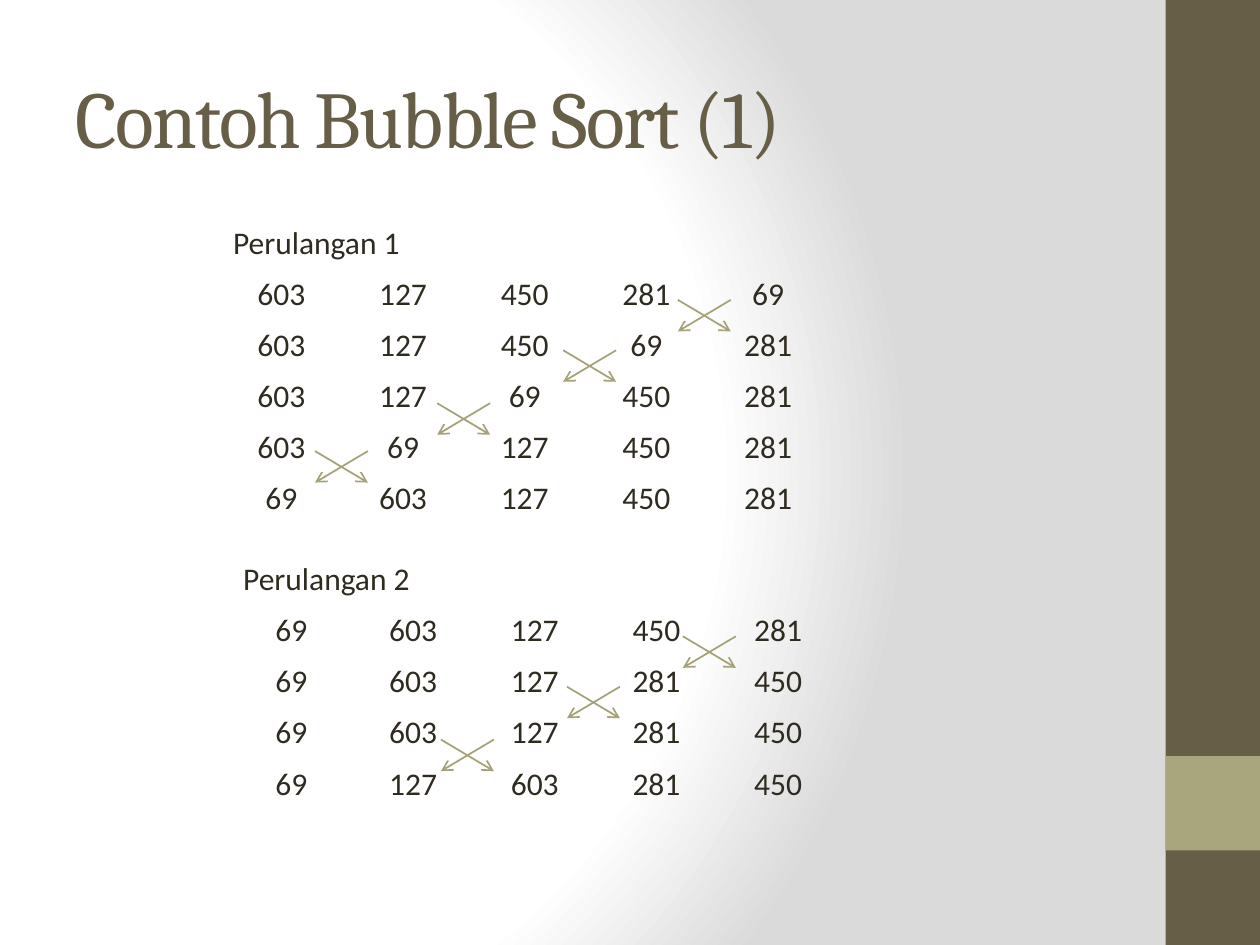
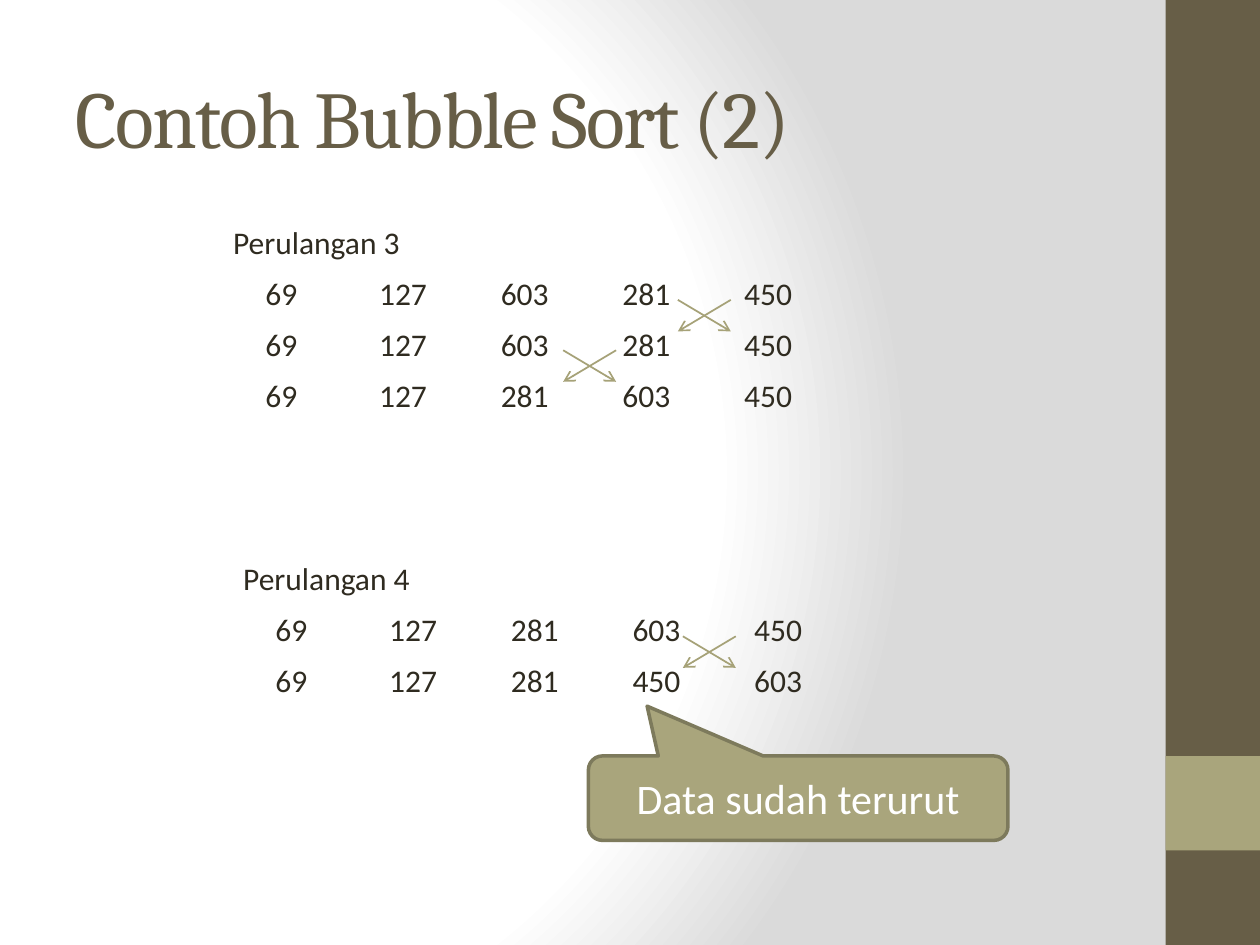
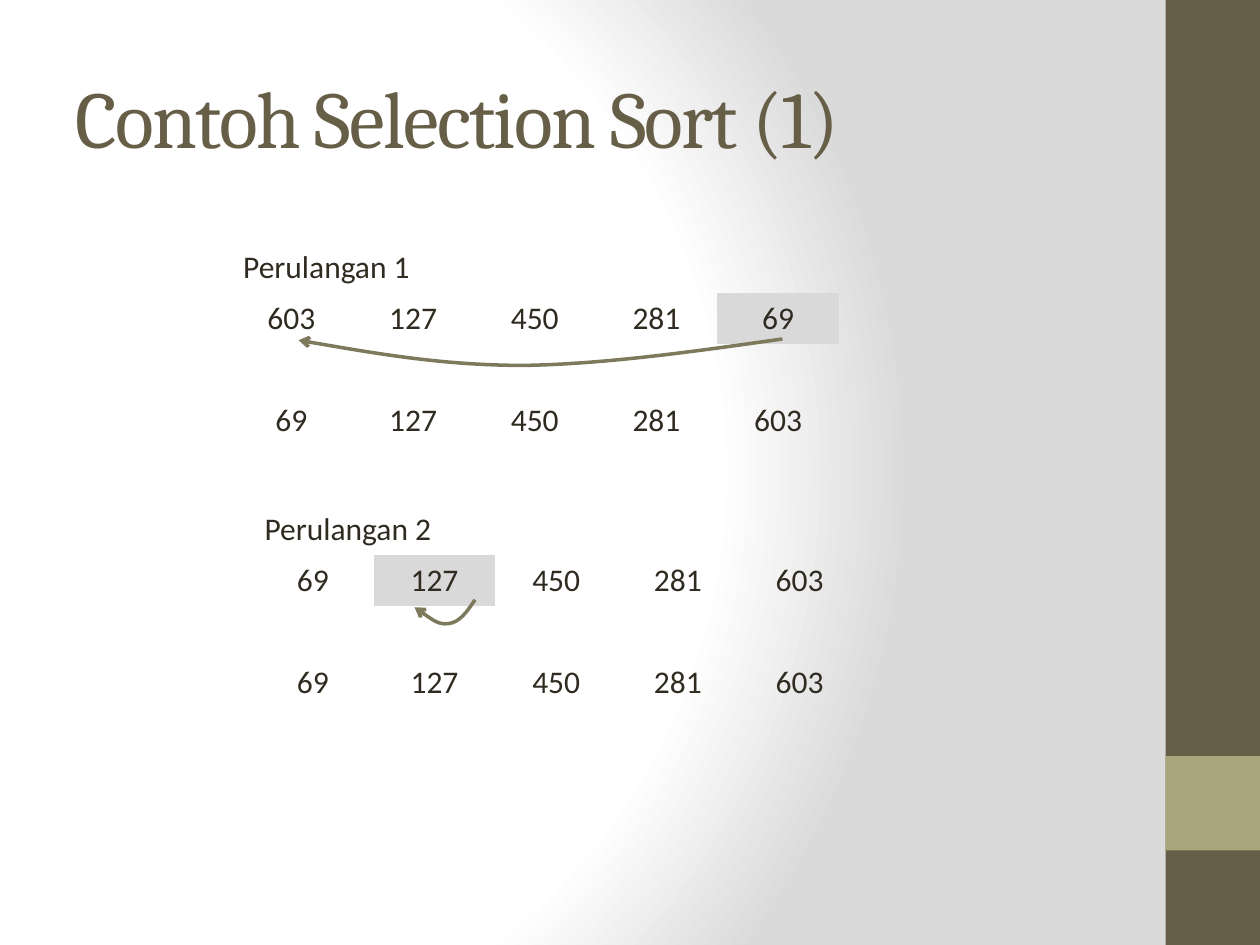
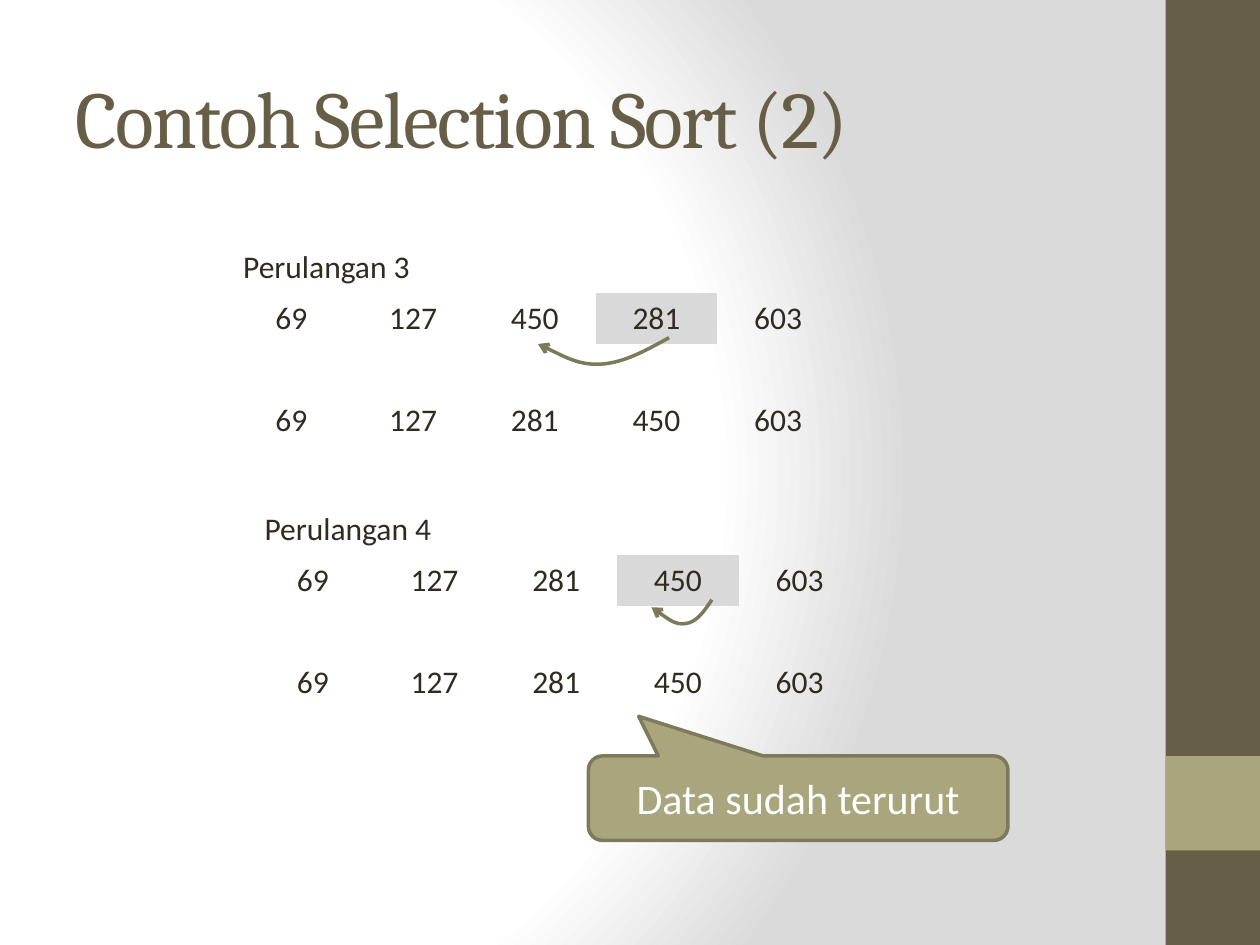
from lxml import etree
from pptx import Presentation
from pptx.dml.color import RGBColor
from pptx.enum.shapes import MSO_CONNECTOR as CONNECTOR, MSO_SHAPE as SHAPE
from pptx.enum.text import MSO_ANCHOR as ANCHOR, PP_ALIGN as ALIGN
from pptx.oxml import parse_xml
from pptx.oxml.ns import nsdecls, qn
from pptx.util import Inches, Pt

BROWN = RGBColor(0x67, 0x5E, 0x47)
OLIVE = RGBColor(0xA9, 0xA5, 0x7C)
DARK_OLIVE = RGBColor(0x7D, 0x7A, 0x5C)
SWAP_OLIVE = RGBColor(0xA6, 0xA2, 0x78)
INK = RGBColor(0x2F, 0x2B, 0x20)
GREY = RGBColor(0xD9, 0xD9, 0xD9)
WHITE = RGBColor(0xFF, 0xFF, 0xFF)

TITLE_FONT = {"name": "Cambria", "size": Pt(46), "bold": False}
NUMBER_FONT = {"name": "Calibri", "size": Pt(18), "bold": False}
CALLOUT_FONT = {"name": "Calibri", "size": Pt(24), "bold": False}
TITLE_BOX = {"left": Inches(0.5), "top": Inches(0.3),
             "width": Inches(8.33), "height": Inches(1.25)}

COLUMNS = 5
TABLE_WIDTH = Inches(4.83)
ROW_HEIGHT = Inches(1.62) // 4
SWAP_WIDTH, SWAP_HEIGHT = 0.42, 0.25
NO_TABLE_STYLE = "{2D5ABB26-0587-4C30-8999-92F81FD0307C}"

BACKGROUND = f"""<a:gradFill {nsdecls('a')} rotWithShape="1"><a:gsLst>
<a:gs pos="0"><a:srgbClr val="FFFFFF"/></a:gs>
<a:gs pos="75000"><a:srgbClr val="FFFFFF"/></a:gs>
<a:gs pos="100000"><a:srgbClr val="DADADA"/></a:gs></a:gsLst>
<a:path path="circle"><a:fillToRect l="20000" t="50000" r="100000" b="50000"/></a:path>
</a:gradFill>"""

HOP = [(0.48, 0), (0.42, 0.09), (0.36, 0.18), (0.27, 0.19),
       (0.19, 0.2), (0.1, 0.13), (0, 0.06)]
STEP = [(1.04, 0), (0.86, 0.1), (0.68, 0.2), (0.5, 0.21),
        (0.33, 0.22), (0.17, 0.13), (0, 0.05)]
SWEEP = [(3.84, 0), (3.14, 0.1), (2.43, 0.2), (1.79, 0.21),
         (1.15, 0.21), (0.58, 0.11), (0, 0.01)]

SLIDES = [
    {"title": "Contoh Bubble Sort (1)",
     "passes": [
         ("Perulangan 1", 1.75, 1.73, None,
          ["603 127 450 281 69", "603 127 450 69 281", "603 127 69 450 281",
           "603 69 127 450 281", "69 603 127 450 281"]),
         ("Perulangan 2", 1.83, 4.4, None,
          ["69 603 127 450 281", "69 603 127 281 450",
           "69 603 127 281 450", "69 127 603 281 450"])],
     "swaps": [(5.38, 2.38), (4.47, 2.78), (3.47, 3.2), (2.5, 3.58),
               (5.42, 5.05), (4.5, 5.45), (3.5, 5.87)]},
    {"title": "Contoh Bubble Sort (2)",
     "passes": [
         ("Perulangan 3", 1.75, 1.73, None,
          ["69 127 603 281 450", "69 127 603 281 450", "69 127 281 603 450"]),
         ("Perulangan 4", 1.83, 4.4, None,
          ["69 127 281 603 450", "69 127 281 450 603"])],
     "swaps": [(5.38, 2.38), (4.47, 2.78), (5.42, 5.05)],
     "pointer": (-0.36, -1.09)},
    {"title": "Contoh Selection Sort (1)",
     "passes": [
         ("Perulangan 1", 1.83, 1.92, 4,
          ["603 127 450 281 69", "", "69 127 450 281 603"]),
         ("Perulangan 2", 2, 4, 1,
          ["69 127 450 281 603", "", "69 127 450 281 603"])],
     "moves": [(2.37, 2.69, SWEEP), (3.29, 4.76, HOP)]},
    {"title": "Contoh Selection Sort (2)",
     "passes": [
         ("Perulangan 3", 1.83, 1.92, 3,
          ["69 127 450 281 603", "", "69 127 281 450 603"]),
         ("Perulangan 4", 2, 4, 3,
          ["69 127 281 450 603", "", "69 127 281 450 603"])],
     "moves": [(5.17, 4.76, HOP), (4.27, 2.68, STEP)],
     "pointer": (-0.38, -0.97)},
]


def write(frame, text, font_values, color, align):
    paragraph = frame.paragraphs[0]
    paragraph.alignment = align
    run = paragraph.add_run()
    run.text = text
    for name, value in font_values.items():
        setattr(run.font, name, value)
    run.font.color.rgb = color


def draw_arrow(outline, color, width):
    outline.line.color.rgb = color
    outline.line.width = Pt(width)
    stroke = outline.element.xpath(".//a:ln")[0]
    etree.SubElement(stroke, qn("a:tailEnd"), type="arrow")


prs = Presentation()
prs.slide_width, prs.slide_height = Inches(10), Inches(7.5)
master = prs.slide_master
master.background.fill.solid()
plain_fill = master.element.xpath(".//p:bgPr/a:solidFill")[0]
plain_fill.getparent().replace(plain_fill, parse_xml(BACKGROUND))
title_only = prs.slide_layouts[5]

for number, content in enumerate(SLIDES):
    slide = prs.slides.add_slide(title_only)
    shapes = slide.shapes

    if number == 0:
        for depth, (top, height, color) in enumerate([(0, 7.5, BROWN), (6, 0.75, OLIVE)]):
            band = shapes.add_shape(SHAPE.RECTANGLE, Inches(9.25), Inches(top),
                                    Inches(0.75), Inches(height))
            band.shadow.inherit = False
            band.fill.solid()
            band.fill.fore_color.rgb = color
            band.line.fill.background()
            master.shapes.element.insert(2 + depth, band.element)

    title = shapes.title
    for name, value in TITLE_BOX.items():
        setattr(title, name, value)
    title.text_frame.vertical_anchor = ANCHOR.MIDDLE
    write(title.text_frame, content["title"], TITLE_FONT, BROWN, ALIGN.LEFT)
    title.element.xpath(".//a:rPr")[0].set("spc", "-100")

    for label, left, top, chosen, rows in content["passes"]:
        row_count = len(rows) + 1
        frame = shapes.add_table(row_count, COLUMNS, Inches(left), Inches(top),
                                 TABLE_WIDTH, ROW_HEIGHT * row_count)
        frame.element.xpath(".//a:tableStyleId")[0].text = NO_TABLE_STYLE
        steps = frame.table
        steps.first_row = steps.horz_banding = False
        for cell in steps.iter_cells():
            cell.fill.background()
        heading = steps.cell(0, 0)
        heading.merge(steps.cell(0, COLUMNS - 1))
        write(heading.text_frame, label, NUMBER_FONT, INK, ALIGN.LEFT)
        for row, values in enumerate(rows, 1):
            for column, value in enumerate(values.split()):
                write(steps.cell(row, column).text_frame, value,
                      NUMBER_FONT, INK, ALIGN.CENTER)
        if chosen is not None:
            smallest = steps.cell(1, chosen)
            smallest.fill.solid()
            smallest.fill.fore_color.rgb = GREY

    for left, top in content.get("swaps", []):
        right = left + SWAP_WIDTH
        for start, end in [(left, right), (right, left)]:
            swap = shapes.add_connector(CONNECTOR.STRAIGHT, Inches(start), Inches(top),
                                        Inches(end), Inches(top + SWAP_HEIGHT))
            draw_arrow(swap, SWAP_OLIVE, 1)
            etree.SubElement(swap.element.spPr, qn("a:effectLst"))

    for left, top, offsets in content.get("moves", []):
        points = [(Inches(left + x), Inches(top + y)) for x, y in offsets]
        builder = shapes.build_freeform(*points[0])
        builder.add_line_segments(points[1:], close=False)
        move = builder.convert_to_shape()
        move.shadow.inherit = False
        move.fill.background()
        draw_arrow(move, DARK_OLIVE, 2)
        outline = move.element.xpath(".//a:path")[0]
        segments = outline.findall(qn("a:lnTo"))
        for first in range(0, len(segments), 3):
            curve = etree.SubElement(outline, qn("a:cubicBezTo"))
            for segment in segments[first:first + 3]:
                curve.append(segment[0])
                outline.remove(segment)

    if "pointer" in content:
        callout = shapes.add_shape(SHAPE.ROUNDED_RECTANGULAR_CALLOUT, Inches(4.67),
                                   Inches(6), Inches(3.33), Inches(0.67))
        callout.adjustments[0], callout.adjustments[1] = content["pointer"]
        callout.shadow.inherit = False
        callout.fill.solid()
        callout.fill.fore_color.rgb = OLIVE
        callout.line.color.rgb = DARK_OLIVE
        callout.line.width = Pt(2)
        callout.text_frame.vertical_anchor = ANCHOR.MIDDLE
        write(callout.text_frame, "Data sudah terurut", CALLOUT_FONT, WHITE, ALIGN.CENTER)

prs.save("out.pptx")
